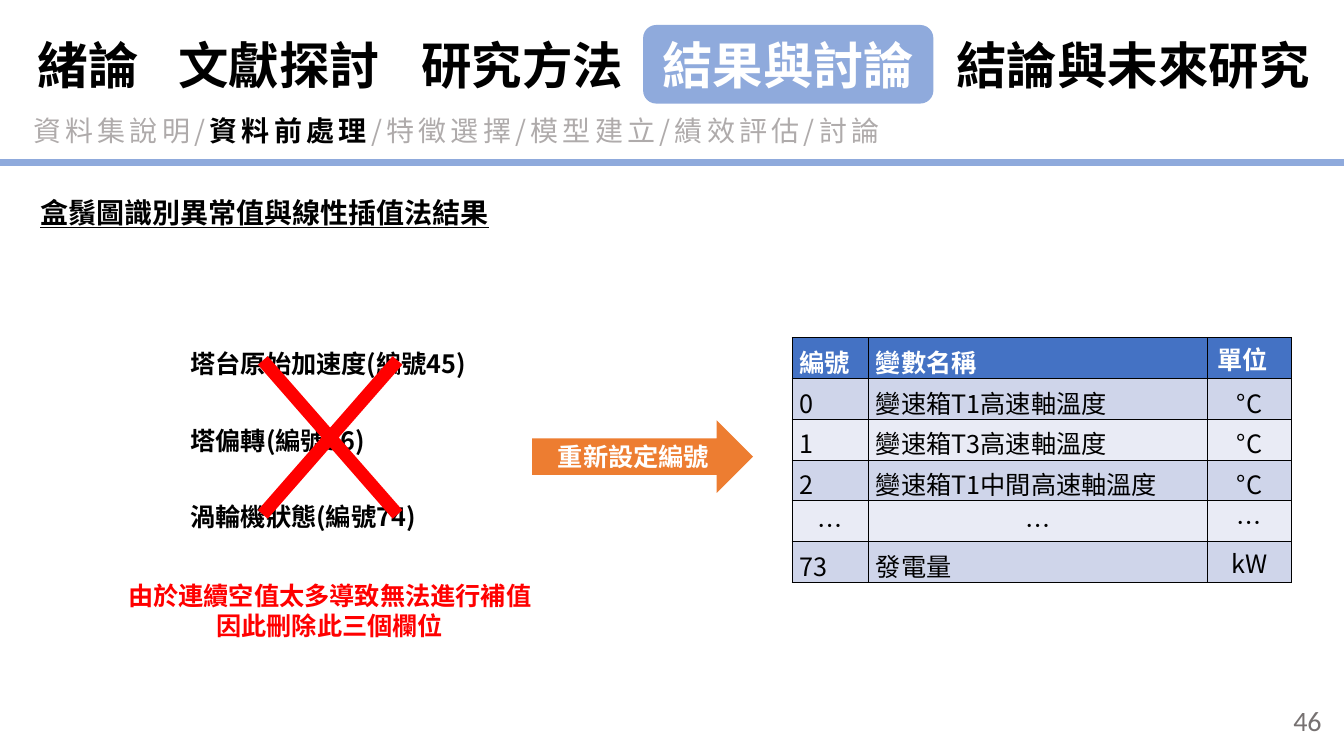
import pptx
import pptx.util
import pptx.dml.color
import pptx.enum.shapes
import pptx.enum.text
import pptx.oxml
import pptx.oxml.ns

Pt = pptx.util.Pt
Inches = pptx.util.Inches
RGBColor = pptx.dml.color.RGBColor
SHAPE = pptx.enum.shapes.MSO_SHAPE
ALIGN = pptx.enum.text.PP_ALIGN
ANCHOR = pptx.enum.text.MSO_ANCHOR
qn = pptx.oxml.ns.qn

BLACK = RGBColor(0x00, 0x00, 0x00)
WHITE = RGBColor(0xFF, 0xFF, 0xFF)
RED = RGBColor(0xFF, 0x00, 0x00)
ORANGE = RGBColor(0xED, 0x7D, 0x31)
LIGHT_BLUE = RGBColor(0x8F, 0xAA, 0xDC)
HEADER_BLUE = RGBColor(0x44, 0x72, 0xC4)
BAND_DARK = RGBColor(0xCF, 0xD5, 0xEA)
BAND_LIGHT = RGBColor(0xE9, 0xEB, 0xF5)
GRAY = RGBColor(0xAF, 0xAB, 0xAB)
DARK_GRAY = RGBColor(0x76, 0x71, 0x71)

TABS = ["緒論", "文獻探討", "研究方法", "結果與討論", "結論與未來研究"]
TAB_EDGES = [1.43, 11.7, 29.85, 47.85, 69.45, 99.15]
ACTIVE_TAB = "結果與討論"
REMOVED = ["塔台原始加速度(編號45)", "塔偏轉(編號56)", "渦輪機狀態(編號74)"]
VARIABLES = [
    ["編號", "變數名稱", "單位"],
    ["0", "變速箱T1高速軸溫度", "°C"],
    ["1", "變速箱T3高速軸溫度", "°C"],
    ["2", "變速箱T1中間高速軸溫度", "°C"],
    ["…", "…", "…"],
    ["73", "發電量", "kW"],
]


class SlideBuilder:
    """Draws on one slide; every place and size is a percentage of the slide."""

    font = "Noto Sans CJK SC"

    def __init__(self, prs):
        self.width, self.height = prs.slide_width, prs.slide_height
        self.slide = prs.slides.add_slide(prs.slide_layouts[6])
        self.shapes = self.slide.shapes

    def x(self, share):
        return round(self.width * share / 100)

    def y(self, share):
        return round(self.height * share / 100)

    def box(self, left, top, width, height):
        return self.x(left), self.y(top), self.x(width), self.y(height)

    def style(self, r, size, color, bold=True, font=None):
        r.font.size, r.font.bold, r.font.name = Pt(size), bold, font or self.font
        r.font.color.rgb = color
        east_asian = pptx.oxml.parse_xml(
            f'<a:ea {pptx.oxml.ns.nsdecls("a")} typeface="{self.font}"/>')
        r.font._element.find(qn("a:latin")).addnext(east_asian)

    def fill_text(self, tf, text, size, color, bold=True, align=ALIGN.LEFT,
                  anchor=ANCHOR.TOP, font=None):
        tf.text = text
        tf.word_wrap = True
        tf.vertical_anchor = anchor
        for p in tf.paragraphs:
            p.alignment = align
            for r in p.runs:
                self.style(r, size, color, bold, font)

    def text(self, place, text, size, color, **options):
        sp = self.shapes.add_textbox(*self.box(*place))
        self.fill_text(sp.text_frame, text, size, color, **options)
        return sp.text_frame

    def spaced_runs(self, place, parts, size, spacing):
        """One line of (text, color, bold) runs with letter spacing in points."""
        tf = self.shapes.add_textbox(*self.box(*place)).text_frame
        tf.word_wrap = True
        for text, color, bold in parts:
            r = tf.paragraphs[0].add_run()
            r.text = text
            self.style(r, size, color, bold)
            r.font._element.set("spc", str(spacing * 100))

    def shape(self, kind, place, fill=None):
        sp = self.shapes.add_shape(kind, *self.box(*place))
        sp.shadow.inherit = False
        sp.line.fill.background()
        if fill is None:
            sp.fill.background()
        else:
            sp.fill.solid()
            sp.fill.fore_color.rgb = fill
        return sp

    def rule(self, top, color, weight):
        line = self.shapes.add_connector(
            pptx.enum.shapes.MSO_CONNECTOR.STRAIGHT,
            0, self.y(top), self.width, self.y(top))
        line.line.color.rgb, line.line.width = color, Pt(weight)
        line._element.spPr.append(pptx.oxml.parse_xml(
            f'<a:effectLst {pptx.oxml.ns.nsdecls("a")}/>'))

    def border(self, cell, color, weight):
        props = cell._tc.get_or_add_tcPr()
        for side in "LRTB":
            props.append(pptx.oxml.parse_xml(
                f'<a:ln{side} {pptx.oxml.ns.nsdecls("a")} w="{Pt(weight)}">'
                f'<a:solidFill><a:srgbClr val="{color}"/></a:solidFill></a:ln{side}>'))

    def table(self, left, top, columns, row_height, rows):
        place = self.box(left, top, sum(columns), row_height * len(rows))
        table = self.shapes.add_table(len(rows), len(columns), *place).table
        table.horz_banding = False
        for column, width in zip(table.columns, columns):
            column.width = self.x(width)
        for i, row in enumerate(rows):
            table.rows[i].height = self.y(row_height)
            for j, text in enumerate(row):
                self.cell(table.cell(i, j), text, i, j == len(columns) - 1)

    def cell(self, cell, text, row, is_unit):
        header, ellipsis = row == 0, text == "…"
        centred = ellipsis or (is_unit and not header)
        self.fill_text(cell.text_frame, text, 18, WHITE if header else BLACK, bold=header,
                       align=ALIGN.CENTER if centred else ALIGN.LEFT)
        if not (is_unit and (header or ellipsis or text == "kW")):
            cell.text_frame.paragraphs[0].line_spacing = 1.15
        cell.vertical_anchor = ANCHOR.MIDDLE
        cell.margin_left = cell.margin_right = Inches(0.1 if is_unit else 0.07)
        cell.margin_top = cell.margin_bottom = 0
        if ellipsis:
            cell._tc.get_or_add_tcPr().set("vert", "eaVert")
        self.border(cell, BLACK, 1)
        cell.fill.solid()
        cell.fill.fore_color.rgb = (
            HEADER_BLUE if header else BAND_DARK if row % 2 else BAND_LIGHT)


def main():
    prs = pptx.Presentation()
    prs.slide_width, prs.slide_height = Inches(13.33), Inches(7.5)
    s = SlideBuilder(prs)

    s.rule(21.47, LIGHT_BLUE, 5)
    s.text((76.58, 92.67, 22.5, 5.33), "46", 20, DARK_GRAY, bold=False,
           align=ALIGN.RIGHT, anchor=ANCHOR.MIDDLE, font="Calibri")
    s.spaced_runs((1.73, 14.4, 97.35, 5.87), [
        ("資料集說明/", GRAY, False),
        ("資料前處理", BLACK, True),
        ("/特徵選擇/模型建立/績效評估/討論", GRAY, False)], 20, 3)

    for name, left, right in zip(TABS, TAB_EDGES, TAB_EDGES[1:]):
        active = name == ACTIVE_TAB
        tab = s.shape(SHAPE.ROUNDED_RECTANGLE, (left, 3.3, right - left, 10.4),
                      LIGHT_BLUE if active else None)
        s.fill_text(tab.text_frame, name, 36, WHITE if active else BLACK,
                    align=ALIGN.CENTER)

    heading = s.text((2.25, 25.2, 36.3, 5.87), "盒鬚圖識別異常值與線性插值法結果", 20, BLACK)
    heading.paragraphs[0].runs[0].font.underline = True

    for i, name in enumerate(REMOVED):
        s.text((13.43, 45.47 + 10.07 * i, 28.35, 5.33), name, 18, BLACK)
    cross = s.shape(SHAPE.MATH_MULTIPLY, (14.93, 38.27, 19.28, 39.2), RED)
    cross.adjustments[0] = 0.05
    s.text((8.03, 76.13, 33, 9.47), "由於連續空值太多導致無法進行補值\n因此刪除此三個欄位",
           18, RED, align=ALIGN.CENTER)

    arrow = s.shape(SHAPE.RIGHT_ARROW, (39.6, 55.6, 16.43, 9.6), ORANGE)
    s.fill_text(arrow.text_frame, "重新設定編號", 18, WHITE,
                align=ALIGN.CENTER, anchor=ANCHOR.MIDDLE)
    s.table(58.95, 44.67, [5.7, 25.2, 6.23], 5.4, VARIABLES)

    prs.save("out.pptx")


if __name__ == "__main__":
    main()
